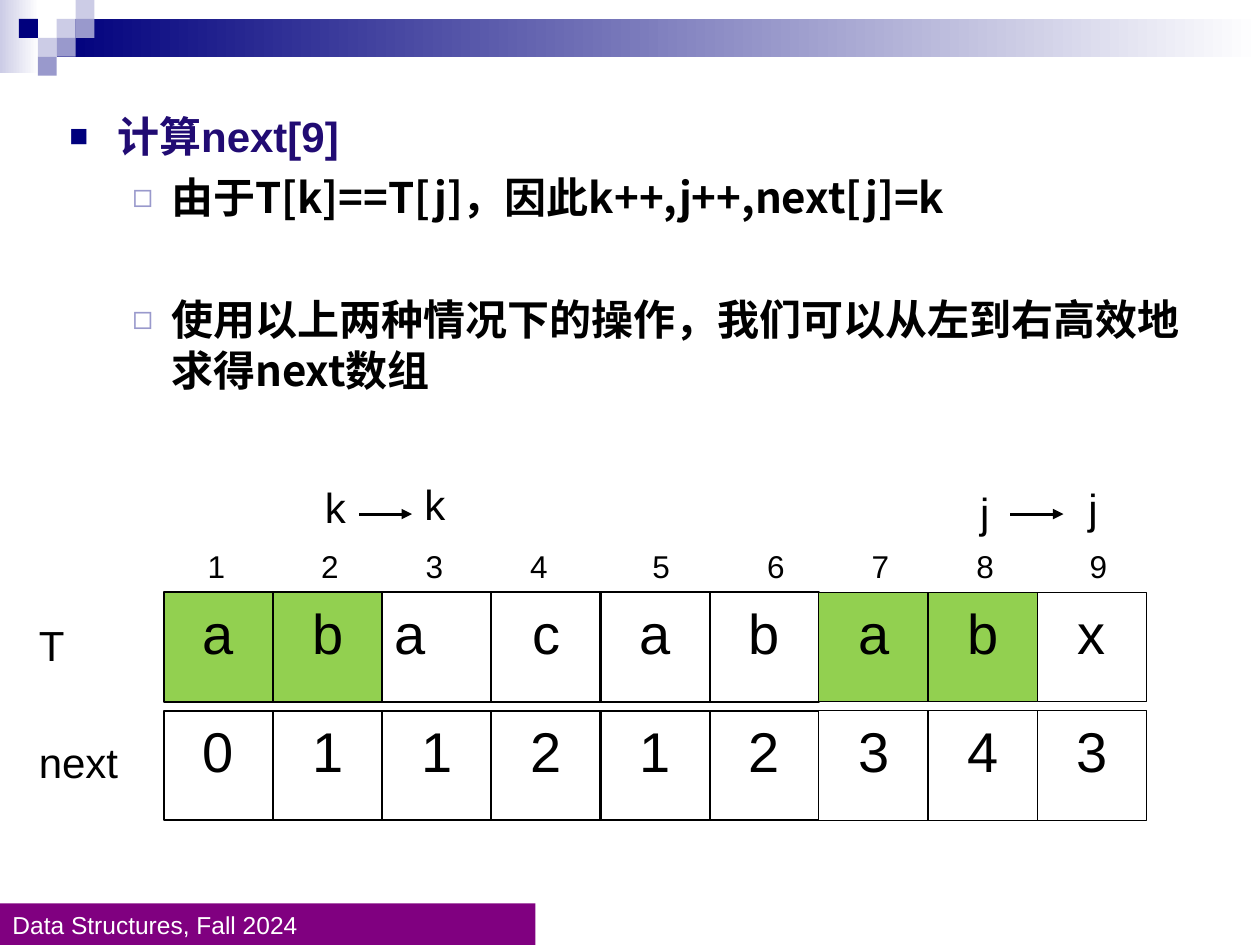
from lxml import etree
from pptx import Presentation
from pptx.dml.color import RGBColor
from pptx.enum.shapes import MSO_CONNECTOR, MSO_SHAPE
from pptx.enum.text import MSO_ANCHOR, MSO_AUTO_SIZE, PP_ALIGN
from pptx.oxml.ns import qn
from pptx.util import Inches, Pt

RECT = MSO_SHAPE.RECTANGLE
STRAIGHT = MSO_CONNECTOR.STRAIGHT
LEFT, CENTER = PP_ALIGN.LEFT, PP_ALIGN.CENTER
TOP, MIDDLE = MSO_ANCHOR.TOP, MSO_ANCHOR.MIDDLE

COLORS = {
    "navy": "00007D", "pale": "CCCCE6", "lilac": "9999CC", "white": "FFFFFF",
    "black": "000000", "purple": "800080", "heading": "210B73", "match": "92D050",
}
RGB = {name: RGBColor.from_string(value) for name, value in COLORS.items()}

prs = Presentation()
prs.slide_width, prs.slide_height = Inches(10), Inches(7.5)
slide = prs.slides.add_slide(prs.slide_layouts[1])
title = slide.shapes.title
title._element.getparent().remove(title._element)


def add_block(left, top, width, height, fill, fade_to=None, line_width=None):
    block = slide.shapes.add_shape(RECT, *map(Inches, (left, top, width, height)))
    block.shadow.inherit = False
    if fade_to:
        block.fill.gradient()
        block.fill.gradient_angle = 0
        for stop, position, color in zip(block.fill.gradient_stops, (0, 1), (fill, fade_to)):
            stop.position, stop.color.rgb = position, RGB[color]
    else:
        block.fill.solid()
        block.fill.fore_color.rgb = RGB[fill]
    if line_width:
        block.line.width = Pt(line_width)
        block.line.color.rgb = RGB["black"]
    else:
        block.line.fill.background()
    return block


def write(shape, text, size, color="black", align=LEFT, anchor=TOP):
    frame = shape.text_frame
    frame.word_wrap = True
    frame.vertical_anchor = anchor
    paragraph = frame.paragraphs[0]
    paragraph.text = text
    paragraph.alignment = align
    for attribute, value in {"name": "Arial", "size": Pt(size)}.items():
        setattr(paragraph.font, attribute, value)
    paragraph.font.color.rgb = RGB[color]
    return paragraph


# Banner: two fading bars and a checker of small squares
SQUARE = 0.15
add_block(0, 0, 0.31, 0.58, "pale", fade_to="white")
add_block(3 * SQUARE, SQUARE, 10 - 3 * SQUARE, 2 * SQUARE, "navy", fade_to="white")
checker = [(3, 1, "pale"), (4, 0, "pale"), (4, 1, "lilac"), (2, 2, "pale"),
           (1, 1, "navy"), (3, 2, "lilac"), (2, 3, "lilac")]
for column, row, color in checker:
    add_block(column * SQUARE, row * SQUARE, SQUARE, SQUARE, color)

footer = add_block(0, 7.17, 4.25, 0.34, "purple")
write(footer, "Data Structures, Fall 2024", 14, "white", anchor=MIDDLE)

# Explanation list
body = slide.placeholders[1]
body.left, body.top, body.width, body.height = map(Inches, (0.45, 0.83, 9.2, 4.09))
body.text_frame.auto_size = MSO_AUTO_SIZE.NONE
CJK = "Noto Sans CJK SC"
# text, level, space before, text indent, hanging, bullet, size %, bullet colour, font, colour
points = [
    ("计算next[9]", 0, 0, 0.38, 0.38, "■", 75, "navy", "Arial", "heading"),
    ("由于T[k]==T[j]，因此k++,j++,next[j]=k", 1, 6, 0.81, 0.31, "◻", 80, "lilac", CJK, "black"),
    ("使用以上两种情况下的操作，我们可以从左到右高效地求得next数组",
     1, 41, 0.81, 0.31, "◻", 80, "lilac", CJK, "black"),
]
for number, (text, level, before, indent, hanging, bullet, percent, bullet_color,
             font_name, color) in enumerate(points):
    frame = body.text_frame
    paragraph = frame.add_paragraph() if number else frame.paragraphs[0]
    paragraph.level = level
    paragraph.space_before = Pt(before)
    properties = paragraph._p.get_or_add_pPr()
    properties.set("marL", str(Inches(indent)))
    properties.set("indent", str(-Inches(hanging)))
    bullet_paint = etree.SubElement(properties, qn("a:buClr"))
    etree.SubElement(bullet_paint, qn("a:srgbClr"), val=COLORS[bullet_color])
    etree.SubElement(properties, qn("a:buSzPct"), val=str(percent * 1000))
    etree.SubElement(properties, qn("a:buChar"), char=bullet)
    run = paragraph.add_run()
    run.text = text
    for attribute, value in {"name": font_name, "size": Pt(24), "bold": True}.items():
        setattr(run.font, attribute, value)
    run.font.color.rgb = RGB[color]
    etree.SubElement(run._r.get_or_add_rPr(), qn("a:ea"), typeface=CJK)

# Pattern T and its next array
CELL, GRID_LEFT = 0.87, 1.3
PITCH = 0.8665
THIN_FROM = 6
rows = [("T", "abacababx", 4.7, 4.87), ("next", "011212343", 5.64, 5.8)]
matched = {0, 1, 6, 7}
for label, values, top, label_top in rows:
    for column, value in enumerate(values):
        is_match = label == "T" and column in matched
        cell = add_block(GRID_LEFT + column * PITCH, top, CELL, CELL,
                         "match" if is_match else "white",
                         line_width=0.75 if column >= THIN_FROM else 1.25)
        off_center = label == "T" and column == 2
        write(cell, value, 32, align=LEFT if off_center else CENTER)
    row_label = slide.shapes.add_textbox(*map(Inches, (0.21, label_top, CELL, 0.5)))
    write(row_label, label, 24)

# Positions 1 to 9 above the cells
positions = slide.shapes.add_textbox(*map(Inches, (1.06, 4.29, 8.43, 0.4)))
tab_stops = [0.49, 1.39, 2.22, 3.05, 4.02, 4.93, 5.76, 6.59, 7.49]
heading = write(positions, "", 18)
tabs = etree.Element(qn("a:tabLst"))
for stop in tab_stops:
    etree.SubElement(tabs, qn("a:tab"), pos=str(Inches(stop)), algn="l")
heading._p.get_or_add_pPr().insert(0, tabs)
heading.add_run().text = "".join(f"\t{n}" for n in range(1, 10))

# Pointers k and j each move one cell to the right
for name, left, top in [("k", 2.48, 3.77), ("k", 3.27, 3.75),
                        ("j", 7.68, 3.81), ("j", 8.54, 3.78)]:
    pointer = slide.shapes.add_textbox(*map(Inches, (left, top, CELL, 0.5)))
    write(pointer, name, 24)
for start in (2.85, 8.02):
    arrow = slide.shapes.add_connector(STRAIGHT, *map(Inches, (start, 4.08, start + 0.42, 4.08)))
    arrow.line.width = Pt(1.75)
    arrow.line.color.rgb = RGB["black"]
    etree.SubElement(arrow.line._get_or_add_ln(), qn("a:tailEnd"), type="triangle")
    etree.SubElement(arrow._element.spPr, qn("a:effectLst"))

prs.save("out.pptx")
